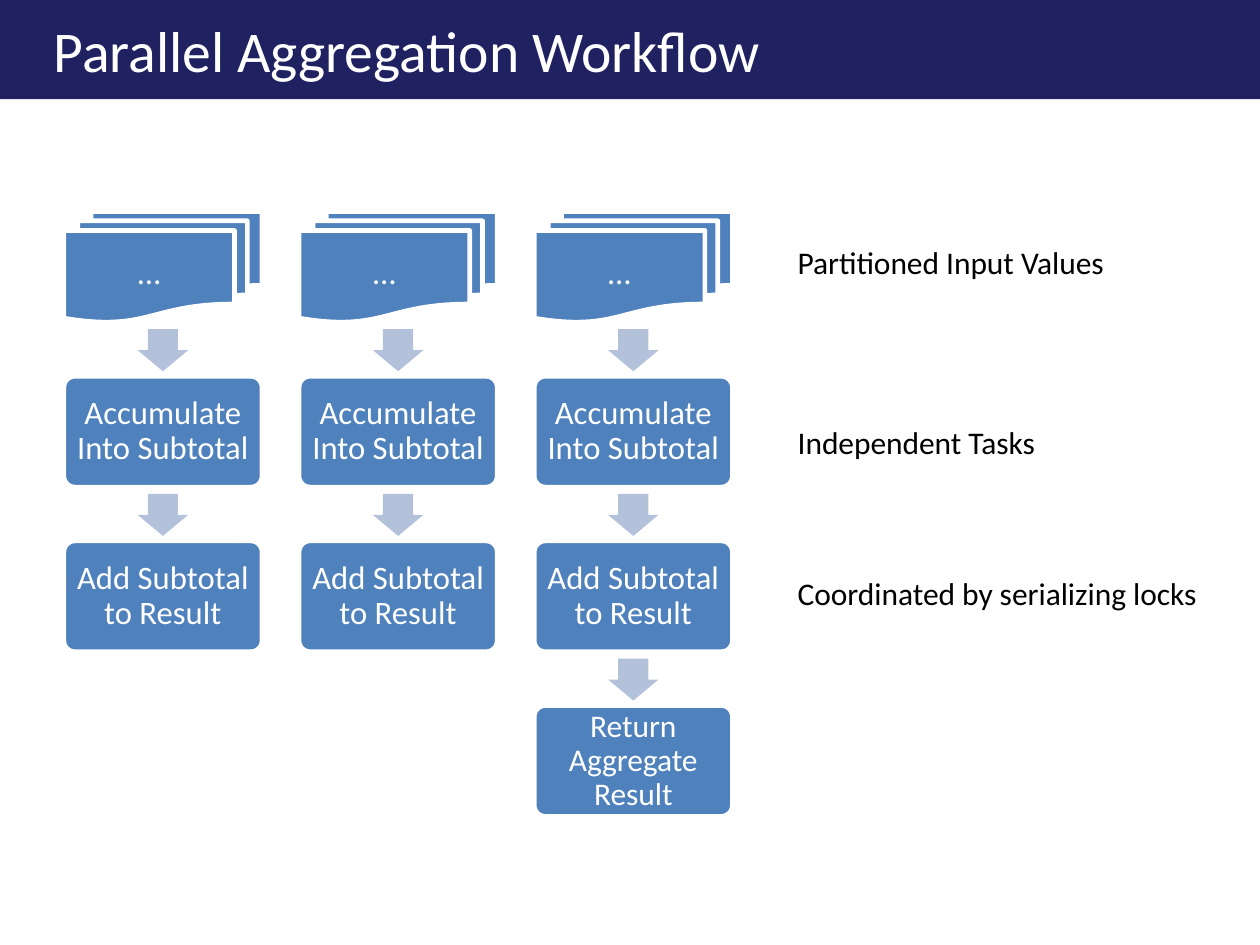
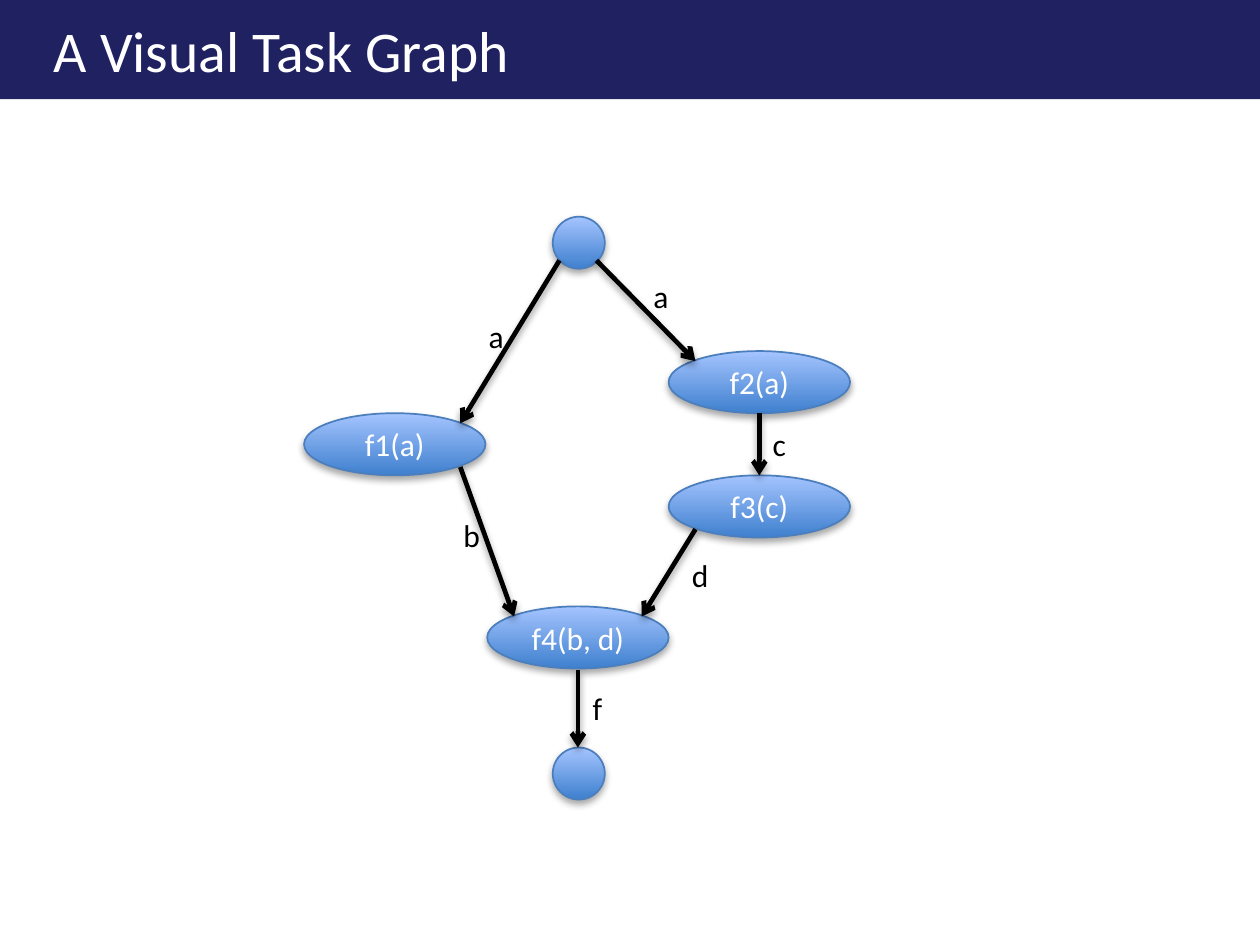
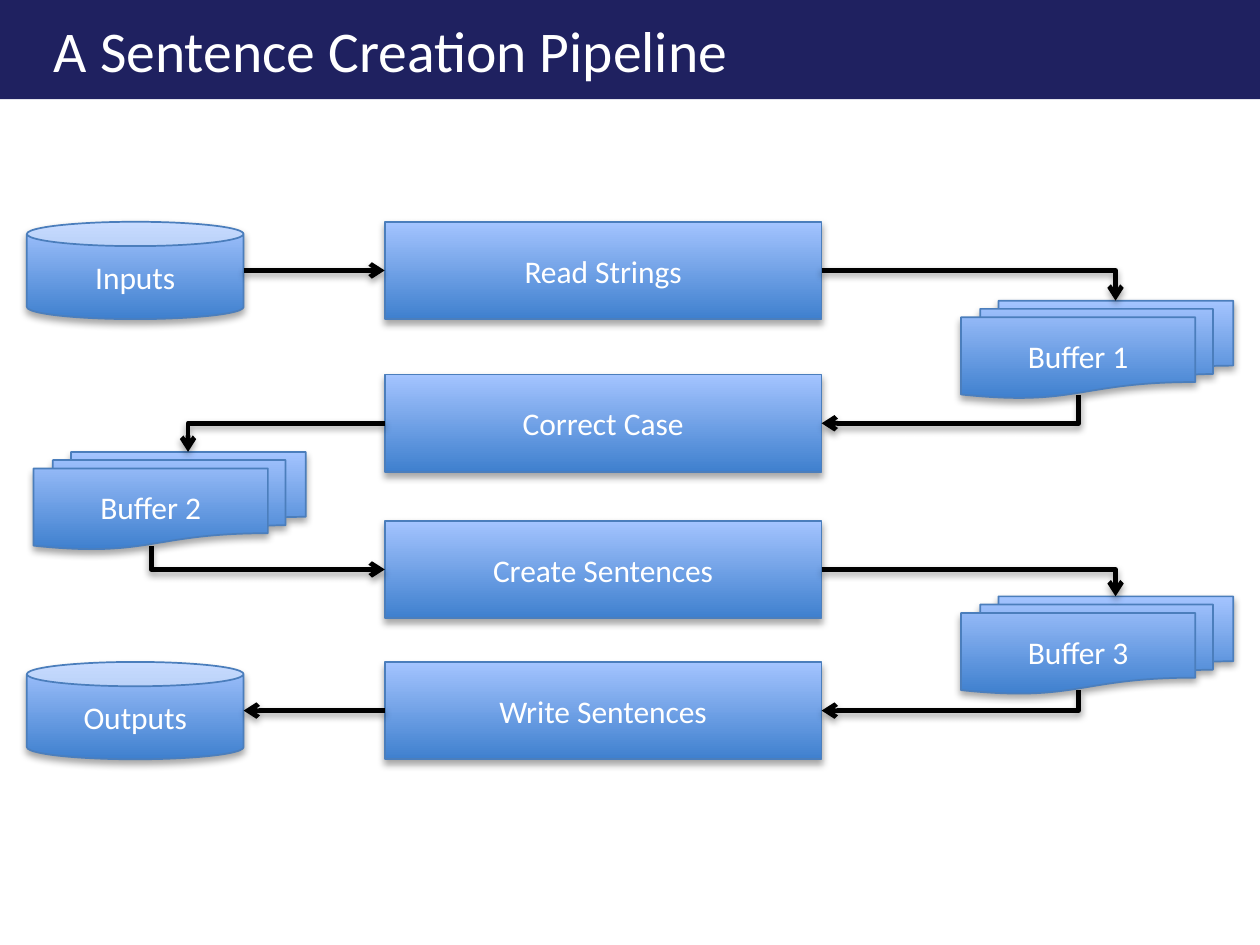
"""Build three slides on parallel aggregation, task graphs and pipelines."""
from lxml import etree
from pptx import Presentation
from pptx.dml.color import RGBColor
from pptx.enum.shapes import MSO_CONNECTOR, MSO_SHAPE
from pptx.enum.text import MSO_ANCHOR, MSO_AUTO_SIZE, PP_ALIGN
from pptx.oxml.ns import qn
from pptx.util import Inches, Pt

RECTANGLE, ROUNDED = MSO_SHAPE.RECTANGLE, MSO_SHAPE.ROUNDED_RECTANGLE
OVAL, CAN = MSO_SHAPE.OVAL, MSO_SHAPE.CAN
DOCUMENTS, DOWN_ARROW = MSO_SHAPE.FLOWCHART_MULTIDOCUMENT, MSO_SHAPE.DOWN_ARROW
STRAIGHT, ELBOW = MSO_CONNECTOR.STRAIGHT, MSO_CONNECTOR.ELBOW
LEFT, CENTER, MIDDLE = PP_ALIGN.LEFT, PP_ALIGN.CENTER, MSO_ANCHOR.MIDDLE
GROW = MSO_AUTO_SIZE.SHAPE_TO_FIT_TEXT
LEFT_SIDE = 1

color = RGBColor.from_string
FONT, TITLE_SIZE, BODY_SIZE, STEP_SIZE = "Calibri", 24.75, 13.5, 14
NAVY, BLUE, PALE_BLUE = "1F2160", "4F81BD", "B3C1DB"
GLOSS_DARK, GLOSS_LIGHT, GLOSS_EDGE = "3F80CE", "A4C4FF", "4B7EBC"
WHITE, BLACK = "FFFFFF", "000000"
SHADOW = (
    '<a:outerShdw xmlns:a="http://schemas.openxmlformats.org/drawingml/2006/main"'
    ' blurRad="39400" dist="{}" dir="5400000" rotWithShape="0">'
    '<a:srgbClr val="000000"><a:alpha val="{}"/></a:srgbClr></a:outerShdw>'
)


def add_figure(page, kind, at, text="", size=BODY_SIZE, fill=None, edge=None):
    """Add a shape that is flat if it has a fill, and glossy with a shadow if not."""
    figure = page.shapes.add_shape(kind, *[Inches(length) for length in at])
    figure.shadow.inherit = False
    if fill:
        figure.fill.solid()
        figure.fill.fore_color.rgb = color(fill)
    else:
        edge = GLOSS_EDGE
        figure.fill.gradient()
        figure.fill.gradient_angle = 90
        for stop, shade in zip(figure.fill.gradient_stops, (GLOSS_DARK, GLOSS_LIGHT)):
            stop.color.rgb = color(shade)
        effects = figure.element.spPr.find(qn("a:effectLst"))
        effects.append(etree.fromstring(SHADOW.format(22900, 35000)))
    if edge:
        figure.line.color.rgb = color(edge)
        figure.line.width = Pt(2 if fill else 0.75)
    else:
        figure.line.fill.background()
    if text:
        frame = figure.text_frame
        frame.word_wrap = True
        frame.vertical_anchor = MIDDLE
        para = frame.paragraphs[0]
        para.text = text
        para.alignment = CENTER
        para.font.name, para.font.size = FONT, Pt(size)
        para.font.color.rgb = color(WHITE)
    return figure


def add_arrow(page, start, end, bend=None):
    """Add an arrow: straight, or with one bend after going "across" or "down"."""
    (x1, y1), (x2, y2) = start, end
    turn = 0
    if bend == "down":
        side = 1 if x2 > x1 else -1
        turn = 180 + 90 * side
        middle_x, middle_y = (x1 + x2) / 2, (y1 + y2) / 2
        half_width, half_height = side * (y2 - y1) / 2, abs(x2 - x1) / 2
        x1, x2 = middle_x + half_width, middle_x - half_width
        y1, y2 = middle_y - half_height, middle_y + half_height
    ends = [Inches(length) for length in (x1, y1, x2, y2)]
    arrow = page.shapes.add_connector(ELBOW if bend else STRAIGHT, *ends)
    arrow.line.color.rgb = color(BLACK)
    arrow.line.width = Pt(2)
    outline = arrow.element.spPr
    if bend:
        outline.find(qn("a:prstGeom")).set("prst", "bentConnector2")
        outline.find(qn("a:xfrm")).set("rot", str(turn * 60000))
    etree.SubElement(outline.find(qn("a:ln")), qn("a:tailEnd"), type="arrow")
    effects = etree.SubElement(outline, qn("a:effectLst"))
    effects.append(etree.fromstring(SHADOW.format(20300, 38000)))
    return arrow


deck = Presentation()
deck.slide_width = Inches(7.5)
deck.slide_height = deck.slide_width * 3 // 4
blank = deck.slide_layouts[6]

pages = []
for title in (
    "Parallel Aggregation Workflow",
    "A Visual Task Graph",
    "A Sentence Creation Pipeline",
):
    page = deck.slides.add_slide(blank)
    band = add_figure(page, RECTANGLE, (0, 0, 7.5, 0.59), title, TITLE_SIZE, NAVY)
    band.text_frame.margin_left = Inches(0.32)
    band.text_frame.paragraphs[0].alignment = LEFT
    pages.append(page)
workflow, graph, pipeline = pages

steps = ["…", "Accumulate Into Subtotal", "Add Subtotal to Result"]
last_step = "Return Aggregate Result"
for column in range(3):
    left = 0.38 + 1.4 * column
    column_steps = steps + [last_step] if column == 2 else steps
    for row, text in enumerate(column_steps):
        top = 1.26 + 0.98 * row
        kind = ROUNDED if row else DOCUMENTS
        size = BODY_SIZE if text == last_step else STEP_SIZE
        step = add_figure(workflow, kind, (left, top, 1.18, 0.66), text, size, BLUE, WHITE)
        if row:
            step.adjustments[0] = 0.1
            at = (left + 0.44, top - 0.28, 0.3, 0.25)
            pointer = add_figure(workflow, DOWN_ARROW, at, fill=PALE_BLUE)
            pointer.adjustments[0], pointer.adjustments[1] = 0.6, 0.5
        frame = step.text_frame
        frame.margin_left = frame.margin_right = Inches(0.04)
        frame.margin_top = frame.margin_bottom = Inches(0.06)
        frame.paragraphs[0].line_spacing = 0.9

for top in (1.29, 4.45):
    add_figure(graph, OVAL, (3.29, top, 0.31, 0.31))
for left, top, text in (
    (1.81, 2.46, "f1(a)"),
    (3.98, 2.09, "f2(a)"),
    (3.98, 2.83, "f3(c)"),
    (2.9, 3.61, "f4(b, d)"),
):
    add_figure(graph, OVAL, (left, top, 1.08, 0.37), text)
for start, end in (
    ((3.33, 1.55), (2.74, 2.52)),
    ((3.55, 1.55), (4.14, 2.15)),
    ((2.74, 2.78), (3.06, 3.67)),
    ((4.52, 2.46), (4.52, 2.83)),
    ((4.14, 3.15), (3.82, 3.67)),
    ((3.44, 3.99), (3.44, 4.45)),
):
    add_arrow(graph, start, end)

for page, left, top, width, text in (
    (workflow, 4.65, 1.4, 2.06, "Partitioned Input Values"),
    (workflow, 4.65, 2.47, 1.64, "Independent Tasks"),
    (workflow, 4.65, 3.37, 2.62, "Coordinated by serializing locks"),
    (graph, 2.81, 1.84, 0.29, "a"),
    (graph, 3.79, 1.6, 0.29, "a"),
    (graph, 4.5, 2.48, 0.28, "c"),
    (graph, 2.66, 3.02, 0.3, "b"),
    (graph, 4.02, 3.26, 0.3, "d"),
    (graph, 3.43, 4.05, 0.26, "f"),
):
    label = page.shapes.add_textbox(Inches(left), Inches(top), Inches(width), Inches(0.33))
    label.text_frame.word_wrap = False
    label.text_frame.auto_size = GROW
    para = label.text_frame.paragraphs[0]
    para.text = text
    para.font.name, para.font.size = FONT, Pt(BODY_SIZE)
    para.font.color.rgb = color(BLACK)

stages = []
for top, text in (
    (1.32, "Read Strings"),
    (2.23, "Correct Case"),
    (3.1, "Create Sentences"),
    (3.94, "Write Sentences"),
):
    stages.append(add_figure(pipeline, RECTANGLE, (2.29, top, 2.6, 0.58), text))
for top, text in ((1.32, "Inputs"), (3.94, "Outputs")):
    add_figure(pipeline, CAN, (0.16, top, 1.29, 0.58), text)
for left, top, text in (
    (5.72, 1.79, "Buffer 1"),
    (0.2, 2.69, "Buffer 2"),
    (5.72, 3.55, "Buffer 3"),
):
    add_figure(pipeline, DOCUMENTS, (left, top, 1.62, 0.58), text)

read_arrow = add_arrow(pipeline, (1.45, 1.61), (2.29, 1.61))
read_arrow.end_connect(stages[0], LEFT_SIDE)
write_arrow = add_arrow(pipeline, (2.29, 4.23), (1.45, 4.23))
write_arrow.begin_connect(stages[-1], LEFT_SIDE)
for start, end, bend in (
    ((4.89, 1.61), (6.64, 1.79), "across"),
    ((6.42, 2.35), (4.89, 2.52), "down"),
    ((2.29, 2.52), (1.12, 2.69), "across"),
    ((0.9, 3.25), (2.29, 3.39), "down"),
    ((4.89, 3.39), (6.64, 3.55), "across"),
    ((6.42, 4.11), (4.89, 4.23), "down"),
):
    add_arrow(pipeline, start, end, bend)

deck.save("out.pptx")
